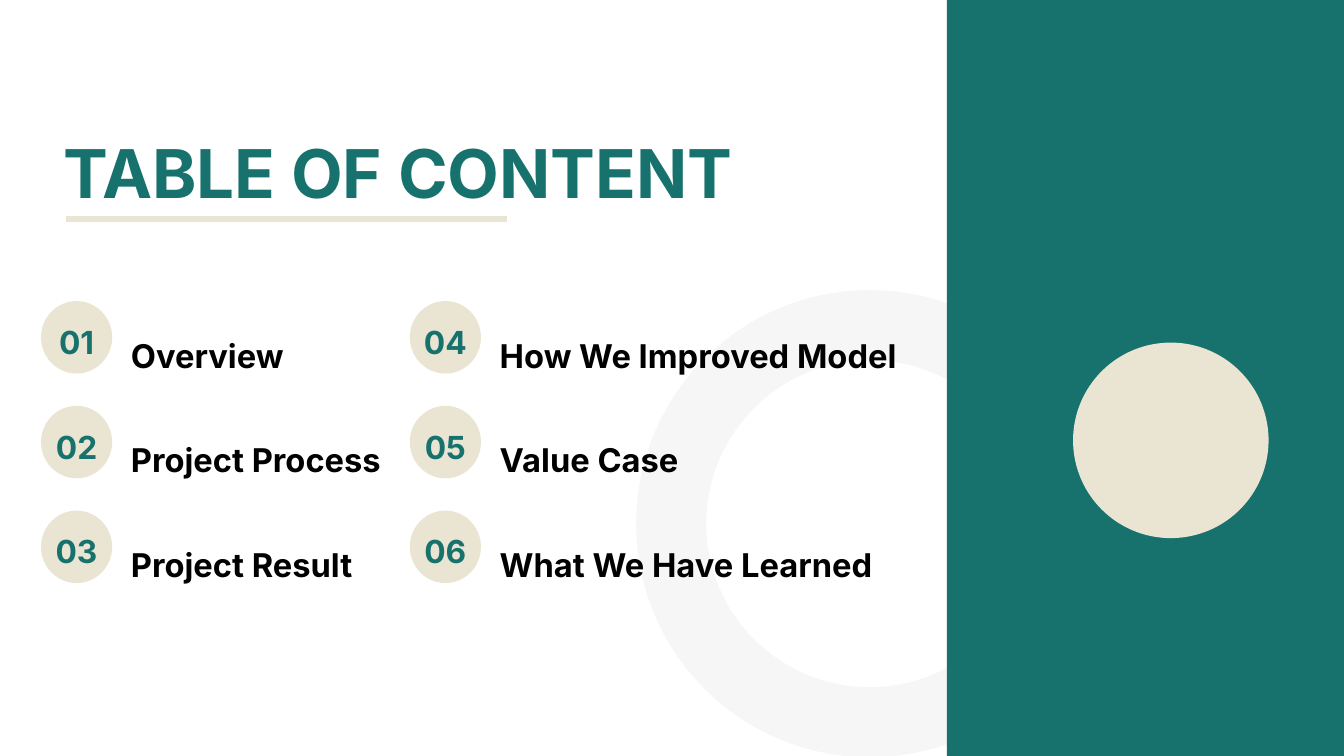
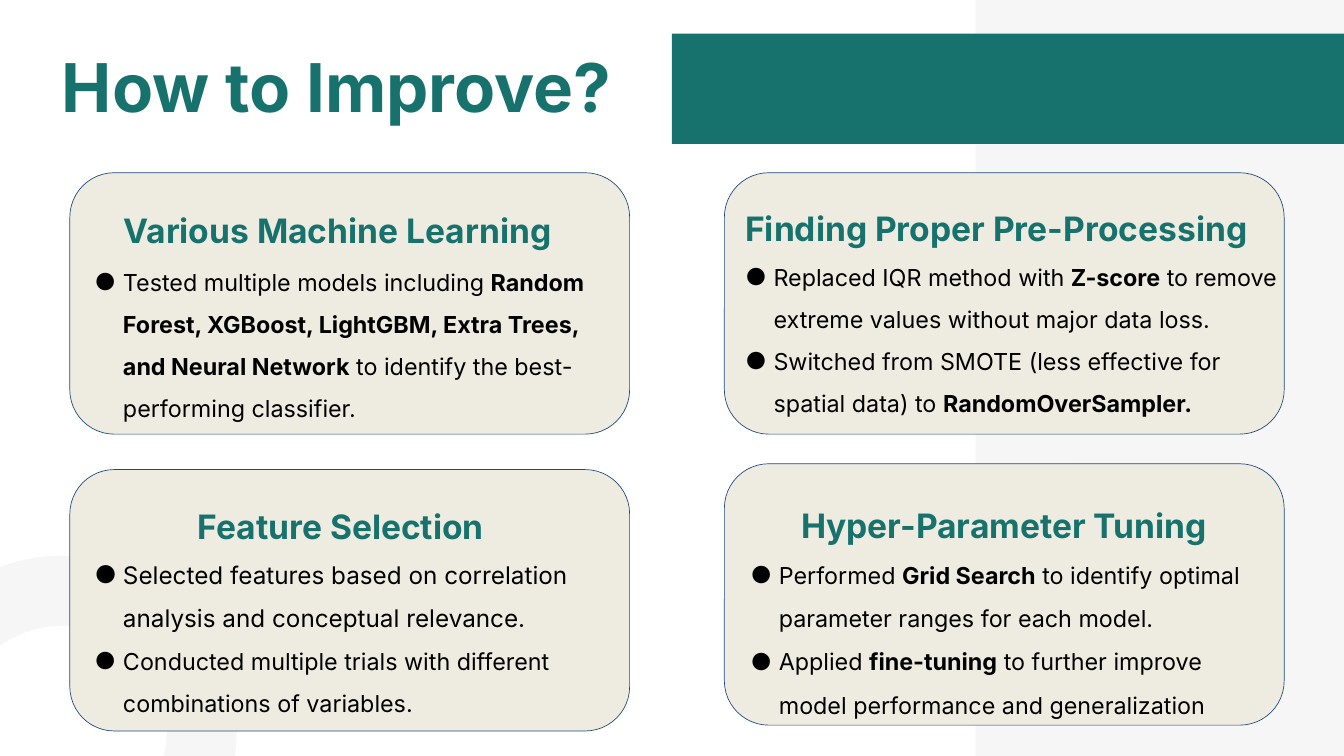
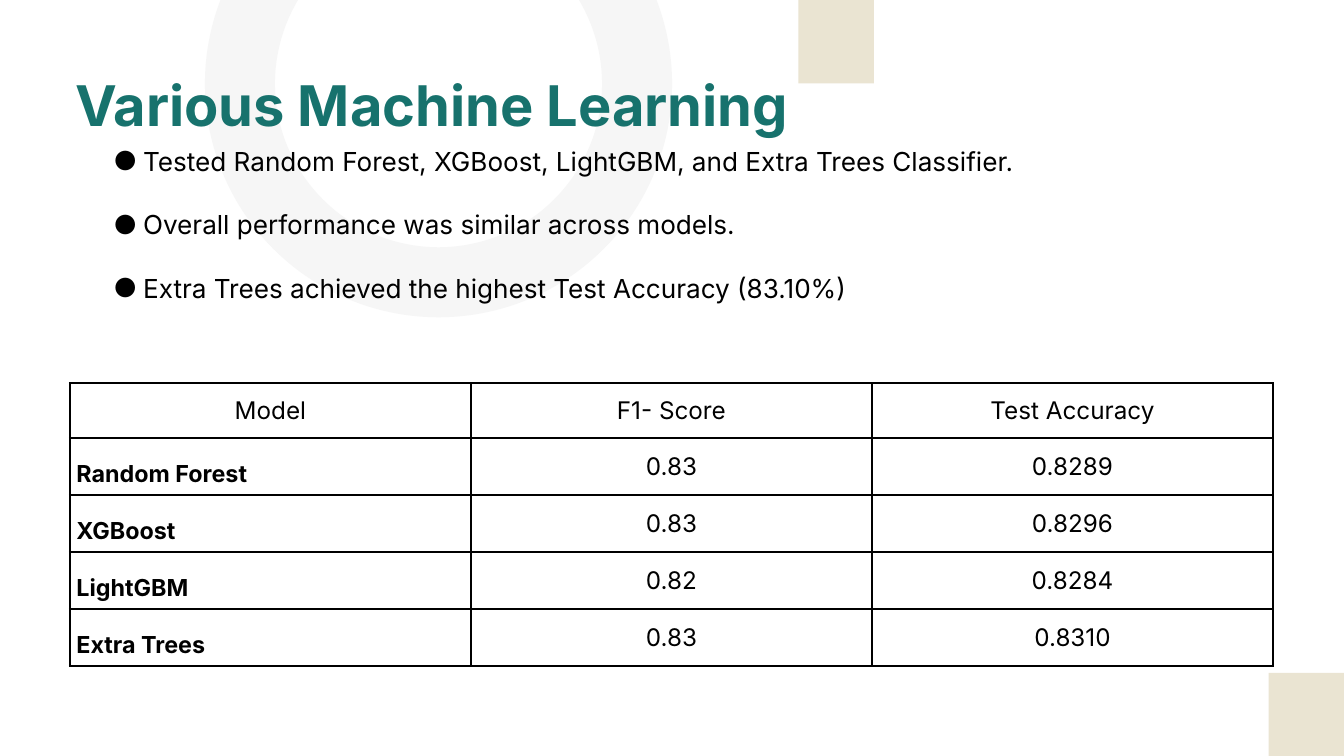
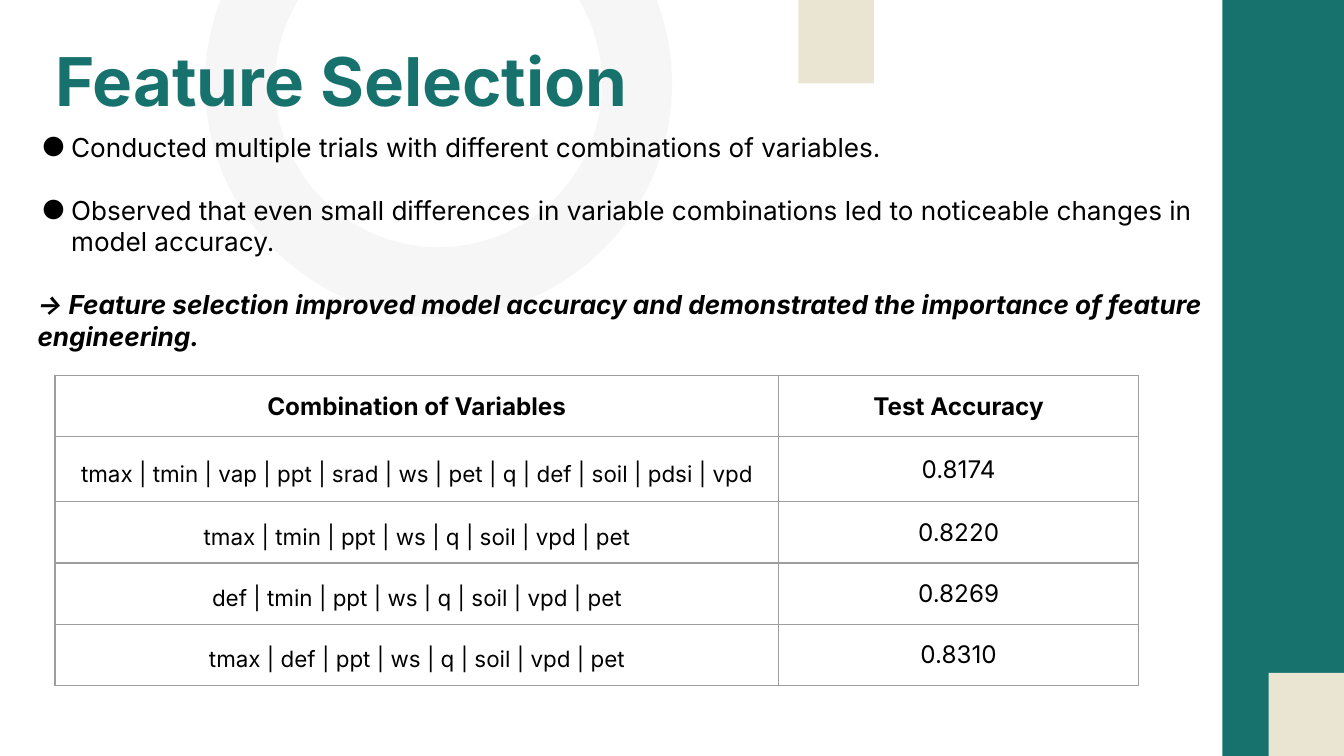
"""Build four slides on improving a machine learning model."""
from lxml import etree
from pptx import Presentation
from pptx import util as u
from pptx.dml.color import RGBColor
from pptx.enum import shapes, text
from pptx.oxml.ns import qn

COLOURS = {
    "teal": "17726D",
    "sand": "EAE4D2",
    "card": "EEECE1",
    "navy": "1F497D",
    "mist": "F6F6F6",
    "grey": "9E9E9E",
    "black": "000000",
}
FONT = "Inter"
WIDTH, HEIGHT = 50.8, 28.58
LEFT, CENTER = text.PP_ALIGN.LEFT, text.PP_ALIGN.CENTER
TOP, MIDDLE = text.MSO_ANCHOR.TOP, text.MSO_ANCHOR.MIDDLE
PRESET = shapes.MSO_SHAPE


def colour(name):
    return RGBColor.from_string(COLOURS[name])


def add_bullet(para, hang):
    props = para._p.get_or_add_pPr()
    props.set("marL", str(u.Cm(1.27)))
    props.set("indent", str(-u.Cm(hang)))
    tint = etree.SubElement(props, qn("a:buClr"))
    etree.SubElement(tint, qn("a:srgbClr"), val=COLOURS["black"])
    etree.SubElement(props, qn("a:buFont"), typeface=FONT)
    etree.SubElement(props, qn("a:buChar"), char="●")


def write(frame, lines, size=25, tint="black", bold=False, italic=False,
          align=LEFT, spacing=1.0, after=0, hang=None):
    """Fill a frame with one paragraph per line; **marks** set bold."""
    for line in lines:
        para = frame.paragraphs[0]
        if para.runs:
            para = frame.add_paragraph()
        para.alignment = align
        para.line_spacing = spacing
        para.space_after = u.Pt(after)
        if hang:
            add_bullet(para, hang)
        for index, piece in enumerate(line.split("**")):
            if not piece:
                continue
            span = para.add_run()
            span.text = piece
            span.font.name = FONT
            span.font.size = u.Pt(size)
            span.font.bold = bold or index % 2 == 1
            span.font.italic = italic
            span.font.color.rgb = colour(tint)


def set_frame(frame, anchor=TOP, inset=0.0, wrap=True):
    frame.auto_size = text.MSO_AUTO_SIZE.NONE
    frame.word_wrap = wrap
    frame.vertical_anchor = anchor
    frame.margin_left = frame.margin_right = u.Cm(inset)
    frame.margin_top = frame.margin_bottom = u.Cm(inset)


class Builder:
    """Hold the deck, its style and the current slide."""

    def __init__(self):
        self.deck = Presentation()
        self.deck.slide_width = u.Cm(WIDTH)
        self.deck.slide_height = u.Inches(11.25)
        self.page = None

    def start(self):
        self.page = self.deck.slides.add_slide(self.deck.slide_layouts[5])

    def title(self, words, left, top, width, height=3.07, size=72, spacing=1.05):
        title = self.page.shapes.title
        title.element.getparent().append(title.element)
        title.left, title.top = u.Cm(left), u.Cm(top)
        title.width, title.height = u.Cm(width), u.Cm(height)
        set_frame(title.text_frame)
        write(title.text_frame, [words], size=size, tint="teal", bold=True, spacing=spacing)

    def shape(self, kind, left, top, width, height, fill=None, line=None, weight=0.75):
        shape = self.page.shapes.add_shape(
            kind, u.Cm(left), u.Cm(top), u.Cm(width), u.Cm(height))
        shape.shadow.inherit = False
        if fill:
            shape.fill.solid()
            shape.fill.fore_color.rgb = colour(fill)
        else:
            shape.fill.background()
        if line:
            shape.line.color.rgb = colour(line)
            shape.line.width = u.Pt(weight)
        else:
            shape.line.fill.background()
        return shape

    def block(self, left, top, width, height, fill):
        self.shape(PRESET.RECTANGLE, left, top, width, height, fill)

    def ring(self, left, top, size=15.01):
        self.shape(PRESET.OVAL, left, top, size, size, line="mist", weight=75)

    def badge(self, number, left, top):
        badge = self.shape(PRESET.OVAL, left, top, 2.69, 2.74, "sand")
        set_frame(badge.text_frame, MIDDLE, wrap=False)
        badge.text_frame.margin_bottom = u.Cm(0.25)
        write(badge.text_frame, [number], size=34, tint="teal", bold=True,
              align=CENTER, spacing=1.4)

    def rule(self, left, top, right, tint, weight):
        rule = self.page.shapes.add_connector(
            shapes.MSO_CONNECTOR.STRAIGHT, u.Cm(left), u.Cm(top), u.Cm(right), u.Cm(top))
        rule.line.color.rgb = colour(tint)
        rule.line.width = u.Pt(weight)
        etree.SubElement(rule.element.spPr, qn("a:effectLst"))

    def words(self, lines, left, top, width, height, inset=0.0, **style):
        box = self.page.shapes.add_textbox(
            u.Cm(left), u.Cm(top), u.Cm(width), u.Cm(height))
        set_frame(box.text_frame, inset=inset)
        write(box.text_frame, lines, **style)
        return box

    def table(self, rows, left, top, widths, heights, border, weight, style_for):
        frame = self.page.shapes.add_table(
            len(rows), len(widths), u.Cm(left), u.Cm(top),
            u.Cm(sum(widths)), u.Cm(sum(heights)))
        table = frame.table
        table.first_row = table.horz_banding = False
        for column, width in zip(table.columns, widths):
            column.width = u.Cm(width)
        for r, (row, height) in enumerate(zip(rows, heights)):
            table.rows[r].height = u.Cm(height)
            for c, value in enumerate(row):
                cell = table.cell(r, c)
                cell.vertical_anchor = MIDDLE
                cell.margin_left = cell.margin_right = u.Cm(0.25)
                cell.margin_top = cell.margin_bottom = u.Cm(0.25)
                cell.fill.background()
                self.borders(cell, border, weight)
                write(cell.text_frame, [value], **style_for(r, c))

    def borders(self, cell, tint, weight):
        props = cell._tc.get_or_add_tcPr()
        for index, side in enumerate(("lnL", "lnR", "lnT", "lnB")):
            edge = etree.Element(qn(f"a:{side}"), w=str(u.Pt(weight)))
            fill = etree.SubElement(edge, qn("a:solidFill"))
            etree.SubElement(fill, qn("a:srgbClr"), val=COLOURS[tint])
            props.insert(index, edge)

    def corners(self):
        self.block(WIDTH - 2.85, 25.43, 2.85, 3.15, "sand")
        self.block(30.18, 0, 2.85, 3.15, "sand")
        self.ring(9.07, -4.34)


def contents_slide(build):
    build.start()
    build.ring(25.37, 12.29)
    build.block(35.79, 0, 15.01, HEIGHT, "teal")
    build.shape(PRESET.OVAL, 40.56, 12.95, 7.39, 7.39, "sand")
    build.rule(2.49, 8.28, 19.18, "sand", 6)
    build.title("TABLE OF CONTENT", 2.39, 4.8, 30.38)
    topics = ["Overview", "Project Process", "Project Result",
              "How We Improved Model", "Value Case", "What We Have Learned"]
    for index, topic in enumerate(topics):
        column, row = divmod(index, 3)
        left, top = 1.55 + 13.94 * column, 11.38 + 3.96 * row
        build.badge(f"{index + 1:02}", left, top)
        build.words([topic], left + 3.4, top + 0.71, (10.03, 16.05)[column], 1.5,
                    size=35, bold=True, spacing=1.4)


def improve_slide(build):
    build.start()
    build.ring(-2.95, 22.33, 10.57)
    build.title("How to Improve?", 2.34, 1.55, 22.63)
    build.block(36.88, 0, WIDTH - 36.88, HEIGHT, "mist")
    build.block(25.4, 1.27, 25.4, 4.17, "teal")
    cards = [
        ((2.64, 6.53), "Various Machine Learning", (4.67, 7.32, 17.12),
         (3.38, 9.6, 19.84, 5.87), 1.5,
         ["Tested multiple models including **Random Forest, XGBoost, LightGBM, "
          "Extra Trees, and Neural Network** to identify the best-performing classifier."]),
        ((2.64, 17.75), "Feature Selection", (7.47, 18.52, 11.1),
         (3.38, 20.62, 20.78, 7.57), 1.5,
         ["Selected features based on correlation analysis and conceptual relevance.",
          "Conducted multiple trials with different combinations of variables."]),
        ((27.38, 6.53), "Finding Proper Pre-Processing", (28.17, 7.26, 19.84),
         (27.97, 9.42, 20.37, 7.49), 1.5,
         ["Replaced IQR method with **Z-score** to remove extreme values "
          "without major data loss.",
          "Switched from SMOTE (less effective for spatial data) to **RandomOverSampler.**"]),
        ((27.38, 17.53), "Hyper-Parameter Tuning", (30.28, 18.47, 15.85),
         (28.17, 20.62, 19.84, 7.7), 1.55,
         ["Performed **Grid Search** to identify optimal parameter ranges for each model.",
          "Applied **fine-tuning** to further improve model performance and generalization"]),
    ]
    for corner, heading, heading_place, body_place, spacing, points in cards:
        card = build.shape(PRESET.ROUNDED_RECTANGLE, *corner, 21.16, 9.88, "card", "navy")
        card.adjustments[0] = 0.17
        build.words([heading], *heading_place, 1.55,
                    size=36, tint="teal", bold=True, spacing=1.4)
        body = build.words(points, *body_place, spacing=spacing, hang=1.07)
        if heading == "Feature Selection":
            body.text_frame.paragraphs[0].runs[0].font.size = u.Pt(26)


def models_slide(build):
    build.start()
    build.corners()
    build.title("Various Machine Learning", 2.84, 1.63, 47.45, 2.57, size=60, spacing=1.4)
    rows = [
        ("Model", "F1- Score", "Test Accuracy"),
        ("Random Forest", "0.83", "0.8289"),
        ("XGBoost", "0.83", "0.8296"),
        ("LightGBM", "0.82", "0.8284"),
        ("Extra Trees", "0.83", "0.8310"),
    ]

    def style_for(row, column):
        if row and column == 0:
            return {"size": 25, "bold": True, "spacing": 1.55}
        return {"size": 26, "align": CENTER}

    build.table(rows, 2.64, 14.48, [15.16] * 3, [2.08] * 5, "black", 2.25, style_for)
    build.words(
        ["Tested Random Forest, XGBoost, LightGBM, and Extra Trees Classifier.",
         "Overall performance was similar across models.",
         "Extra Trees achieved the highest Test Accuracy (83.10%)"],
        3.89, 5.26, 44.04, 6.99, inset=0.25, size=28, after=34, hang=1.12)


def features_slide(build):
    build.start()
    build.block(46.2, 0, WIDTH - 46.2, HEIGHT, "teal")
    build.corners()
    build.title("Feature Selection", 2.08, 1.32, 28.47)
    body = build.words(
        ["Conducted multiple trials with different combinations of variables.",
         "Observed that even small differences in variable combinations led to "
         "noticeable changes in model accuracy."],
        1.17, 4.7, 45.52, 6.43, inset=0.25, size=28, after=34, hang=1.12)
    write(body.text_frame,
          ["→ Feature selection improved model accuracy and demonstrated "
           "the importance of feature engineering."],
          size=28, bold=True, italic=True)
    rows = [
        ("Combination of Variables", "Test Accuracy"),
        ("tmax | tmin | vap | ppt | srad | ws | pet | q | def | soil | pdsi | vpd", "0.8174"),
        ("tmax | tmin | ppt | ws | q | soil | vpd | pet", "0.8220"),
        ("def | tmin | ppt | ws | q | soil | vpd | pet", "0.8269"),
        ("tmax | def | ppt | ws | q | soil | vpd | pet", "0.8310"),
    ]

    def style_for(row, column):
        if row and column == 0:
            return {"size": 24, "align": CENTER, "spacing": 1.36}
        return {"size": 26, "align": CENTER, "bold": row == 0}

    build.table(rows, 2.08, 14.2, [27.36, 13.59], [2.31, 2.46, 2.31, 2.31, 2.31],
                "grey", 1.5, style_for)


def main():
    build = Builder()
    contents_slide(build)
    improve_slide(build)
    models_slide(build)
    features_slide(build)
    build.deck.save("out.pptx")


if __name__ == "__main__":
    main()
